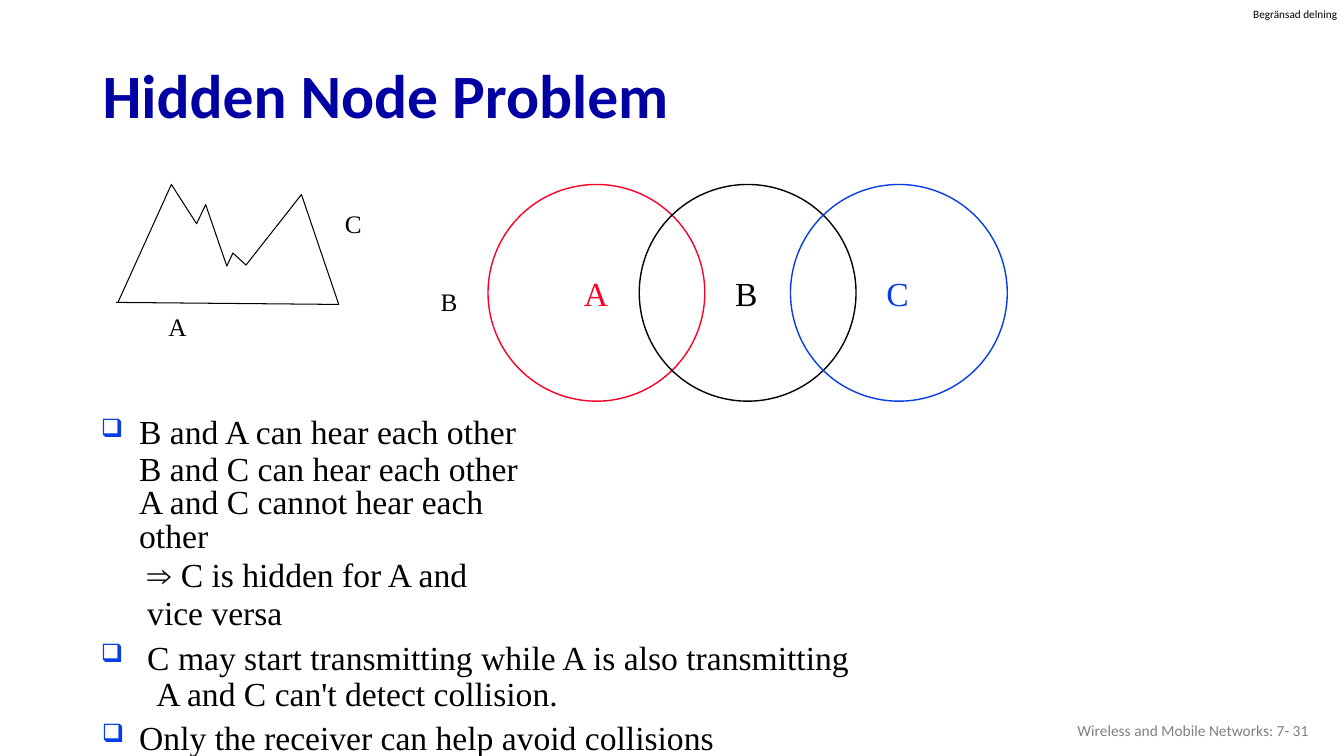
import pptx
import pptx.util
import pptx.dml.color
import pptx.enum.shapes
import pptx.enum.text
import pptx.oxml
import pptx.oxml.ns

Inches = pptx.util.Inches
Pt = pptx.util.Pt
RGBColor = pptx.dml.color.RGBColor
ALIGN = pptx.enum.text.PP_ALIGN
ANCHOR = pptx.enum.text.MSO_ANCHOR

NAVY = RGBColor(0x00, 0x00, 0xA3)
GRAY = RGBColor(0x80, 0x80, 0x80)
BLACK = RGBColor(0x00, 0x00, 0x00)
RED = RGBColor(0xFC, 0x01, 0x28)
BLUE = RGBColor(0x06, 0x3D, 0xE8)
SERIF = "Times New Roman"
SANS = "Calibri"

RIDGE = [(0.02, 1.17), (0.55, 0), (0.8, 0.39), (0.89, 0.2), (1.1, 0.81),
         (1.16, 0.68), (1.29, 0.8), (1.84, 0.1), (2.21, 1.19), (0, 1.17)]
NODES = [("A", RED), ("B", BLACK), ("C", BLUE)]
SPOTS = [("A", 0.52, 1.23), ("B", 3.22, 0.98), ("C", 2.27, 0.21)]
POINTS = [
    dict(runs=[("B and A can hear each other B and C can hear each other", SERIF)],
         left=0.39, hang=0.38, right=3.26, line=Pt(25.9), tab=0.39),
    dict(runs=[("A and C cannot hear each other", SERIF)],
         left=0.39, right=3.26, line=Pt(24.2)),
    dict(runs=[("⇒ ", "Arial"), ("C is hidden for A and vice versa", SERIF)],
         left=0.47, right=3.26, line=Pt(27.4)),
    dict(runs=[("C may start transmitting while A is also transmitting "
                "\tA and C can't detect collision.", SERIF)],
         left=0.47, hang=0.46, line=Pt(25.9), gap=6, tab=0.56),
    dict(runs=[("Only the receiver can help avoid collisions", SERIF)],
         left=0.39, hang=0.37, gap=2.5, tab=0.39),
]


def frame(slide, box, inset=(0, 0, 0, 0), anchor=ANCHOR.TOP, wrap=True):
    """Add an empty text box and return its text frame."""
    body = slide.shapes.add_textbox(*map(Inches, box)).text_frame
    body.word_wrap = wrap
    body.vertical_anchor = anchor
    (body.margin_left, body.margin_top,
     body.margin_right, body.margin_bottom) = map(Inches, inset)
    return body


def write(para, text, size=24, font=SERIF, color=BLACK, bold=False):
    """Add a formatted run to a paragraph."""
    run = para.add_run()
    run.text = text
    run.font.size = Pt(size)
    run.font.name = font
    run.font.bold = bold
    run.font.color.rgb = color


def label(slide, box, text, align=ALIGN.LEFT, line=None, inset=(0, 0.03, 0, 0),
          anchor=ANCHOR.TOP, **style):
    """Add a text box holding one line."""
    para = frame(slide, box, inset, anchor, wrap=False).paragraphs[0]
    para.alignment = align
    para.line_spacing = line
    write(para, text, **style)


def indent(para, left, hang, right, tab):
    """Set indents and, for a hanging paragraph, its bullet and tab stop."""
    props = para._p.get_or_add_pPr()
    for name, size in (("marL", left), ("marR", right), ("indent", -hang)):
        props.set(name, str(Inches(size)))
    if not hang:
        return
    space = pptx.oxml.ns.nsdecls("a")
    for part in (f'<a:buClr {space}><a:srgbClr val="{BLUE}"/></a:buClr>',
                 f'<a:buSzPct {space} val="75000"/>',
                 f'<a:buChar {space} char="❑"/>',
                 f'<a:tabLst {space}><a:tab pos="{Inches(tab)}" algn="l"/></a:tabLst>'):
        props.append(pptx.oxml.parse_xml(part))


def points(slide, box):
    """Write the bulleted text in the box."""
    body = frame(slide, box, inset=(0, 0.06, 0, 0))
    for index, point in enumerate(POINTS):
        para = body.add_paragraph() if index else body.paragraphs[0]
        indent(para, point["left"], point.get("hang", 0),
               point.get("right", 0), point.get("tab"))
        para.line_spacing = point.get("line")
        if "gap" in point:
            para.space_before = Pt(point["gap"])
        for text, font in point["runs"]:
            write(para, text, font=font)


def ranges(slide, box):
    """Draw the overlapping radio ranges, spread over the box."""
    left, top, width, size = box
    step = (width - size) / (len(NODES) - 1)
    for index, (name, color) in enumerate(NODES):
        x = left + index * step
        ring = slide.shapes.add_shape(pptx.enum.shapes.MSO_SHAPE.OVAL,
                                      *map(Inches, (x, top, size, size)))
        ring.shadow.inherit = False
        ring.fill.background()
        ring.line.color.rgb = color
        ring.line.width = Pt(1)
        label(slide, (x + 0.95, top + 0.85, 0.25, 0.43), name, color=color)


def mountain(slide, box):
    """Draw the mountain and the nodes around it."""
    left, top = box[:2]
    dots = [(Inches(left + x), Inches(top + y)) for x, y in RIDGE]
    build = slide.shapes.build_freeform(*dots[0])
    build.add_line_segments(dots[1:], close=False)
    ridge = build.convert_to_shape()
    ridge.shadow.inherit = False
    ridge.fill.background()
    ridge.line.color.rgb = BLACK
    ridge.line.width = Pt(0.75)
    for name, x, y in SPOTS:
        label(slide, (left + x, top + y, 0.2, 0.33), name, size=18)


def main():
    """Build and save the slide."""
    deck = pptx.Presentation()
    deck.slide_width, deck.slide_height = Inches(13.33), Inches(7.5)
    slide = deck.slides.add_slide(deck.slide_layouts[6])
    pad = (0.1, 0.05, 0.1, 0.05)
    label(slide, (12.43, 0.07, 0.86, 0.13), "Begränsad delning",
          inset=(0, 0, 0, 0), size=8, font=SANS)
    label(slide, (0.92, 0.49, 11.5, 0.98), "Hidden Node Problem", line=0.9,
          inset=pad, anchor=ANCHOR.MIDDLE, size=44, font=SANS, color=NAVY, bold=True)
    label(slide, (10.08, 7.05, 3, 0.4), "Wireless and Mobile Networks: 7- 31",
          align=ALIGN.RIGHT, inset=pad, anchor=ANCHOR.MIDDLE,
          size=11, font=SANS, color=GRAY)
    points(slide, (0.99, 4.06, 7.48, 2.75))
    ranges(slide, (4.84, 1.83, 5.15, 2.15))
    mountain(slide, (1.15, 1.83, 2.21, 1.19))
    deck.save("out.pptx")


if __name__ == "__main__":
    main()
